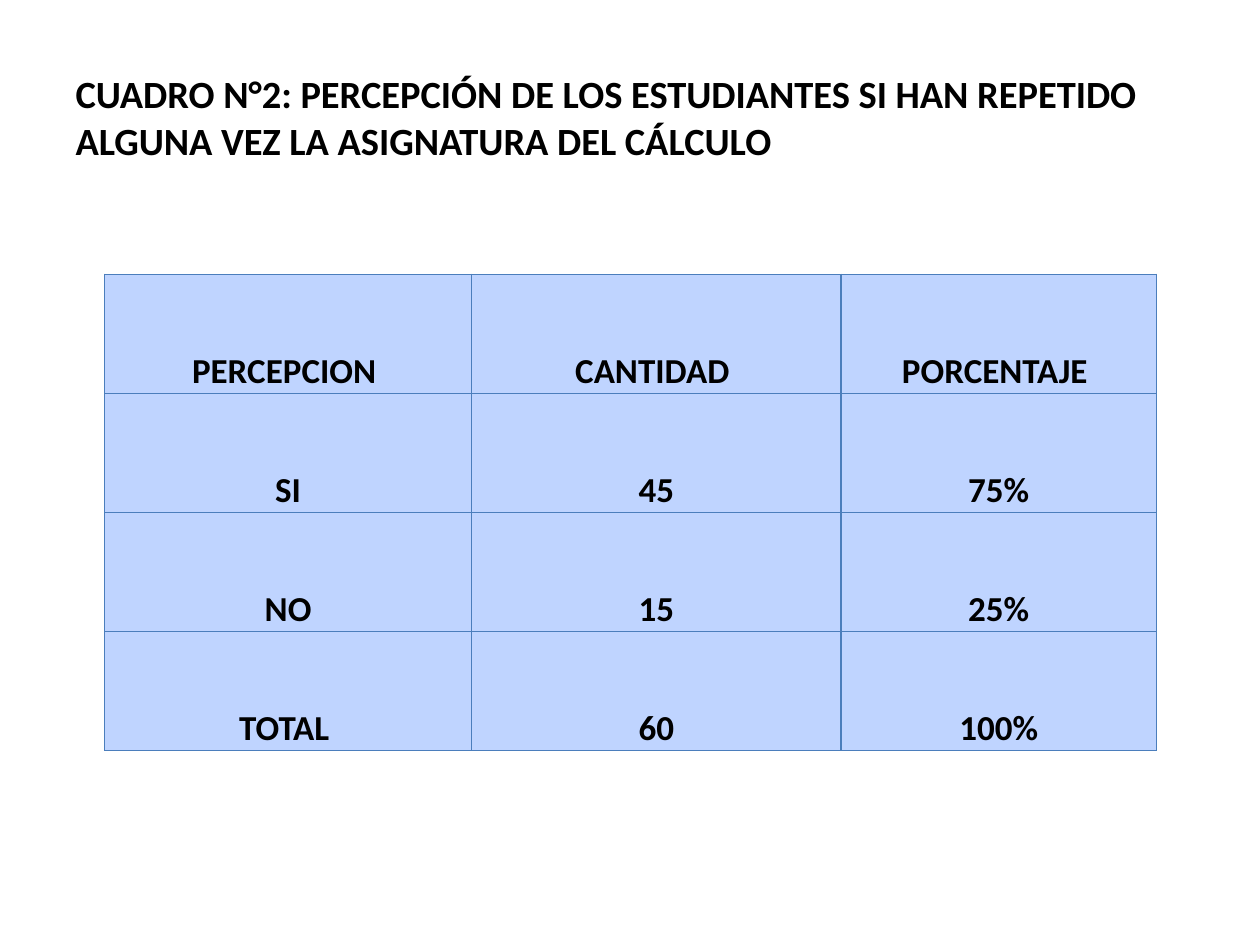
from lxml import etree
from pptx import Presentation
from pptx import util as u
from pptx.dml.color import RGBColor
from pptx.enum import text
from pptx.oxml.ns import qn

COLORS = {"ink": "000000", "cell": "BFD4FF", "border": "4B7EBC"}
FONT = "Calibri"
SLIDE_W, SLIDE_H = u.Inches(10), u.Inches(7.5)

# Regions as shares of the slide: left, top, width, height
TITLE_BOX = (0.05, 0.04, 0.9, 1 / 6)
TABLE_BOX = (0.083, 0.29, 0.835, 0.504)
COLUMN_SHARES = (0.349, 0.351, 0.3)

HEADING = ("CUADRO N°2: PERCEPCIÓN DE LOS ESTUDIANTES SI HAN REPETIDO "
           "ALGUNA VEZ LA ASIGNATURA DEL CÁLCULO")
ANSWERS = [
    ("PERCEPCION ", "CANTIDAD ", "PORCENTAJE "),
    ("SI", "45", "75%"),
    ("NO", "15", "25%"),
    ("TOTAL ", "60", "100%"),
]


def to_lengths(box):
    """Turn shares of the slide into lengths."""
    return [round(share * size)
            for share, size in zip(box, (SLIDE_W, SLIDE_H) * 2)]


def write(paragraph, words, size, align):
    paragraph.alignment = align
    run = paragraph.add_run()
    run.text = words
    run.font.name = FONT
    run.font.size = u.Pt(size)
    run.font.bold = True
    run.font.color.rgb = RGBColor.from_string(COLORS["ink"])


def add_borders(cell, width=0.75):
    """Line all four sides; borders come before the fill in tcPr."""
    properties = cell._tc.get_or_add_tcPr()
    for place, side in enumerate(("lnL", "lnR", "lnT", "lnB")):
        line = etree.Element(qn(f"a:{side}"), w=str(u.Pt(width)))
        fill = etree.SubElement(line, qn("a:solidFill"))
        etree.SubElement(fill, qn("a:srgbClr"), val=COLORS["border"])
        properties.insert(place, line)


def place_heading(slide, box):
    heading = slide.shapes.title
    heading.left, heading.top, heading.width, heading.height = to_lengths(box)
    frame = heading.text_frame
    frame.word_wrap = True
    frame.auto_size = text.MSO_AUTO_SIZE.NONE
    frame.vertical_anchor = text.MSO_ANCHOR.MIDDLE
    write(frame.paragraphs[0], HEADING, 22, text.PP_ALIGN.LEFT)


def fill_cell(cell, words):
    cell.fill.solid()
    cell.fill.fore_color.rgb = RGBColor.from_string(COLORS["cell"])
    cell.margin_left = cell.margin_right = 0
    cell.margin_top = cell.margin_bottom = 0
    cell.vertical_anchor = text.MSO_ANCHOR.BOTTOM
    write(cell.text_frame.paragraphs[0], words, 20, text.PP_ALIGN.CENTER)
    add_borders(cell)


def place_answers(slide, box):
    left, top, width, height = to_lengths(box)
    answers = slide.shapes.add_table(
        len(ANSWERS), len(COLUMN_SHARES), left, top, width, height).table
    answers.first_row = answers.horz_banding = False
    for column, share in zip(answers.columns, COLUMN_SHARES):
        column.width = round(width * share)
    for row, entries in zip(answers.rows, ANSWERS):
        for cell, words in zip(row.cells, entries):
            fill_cell(cell, words)


def main():
    deck = Presentation()
    deck.slide_width, deck.slide_height = SLIDE_W, SLIDE_H
    slide = deck.slides.add_slide(deck.slide_layouts.get_by_name("Title Only"))
    place_heading(slide, TITLE_BOX)
    place_answers(slide, TABLE_BOX)
    deck.save("out.pptx")


if __name__ == "__main__":
    main()
